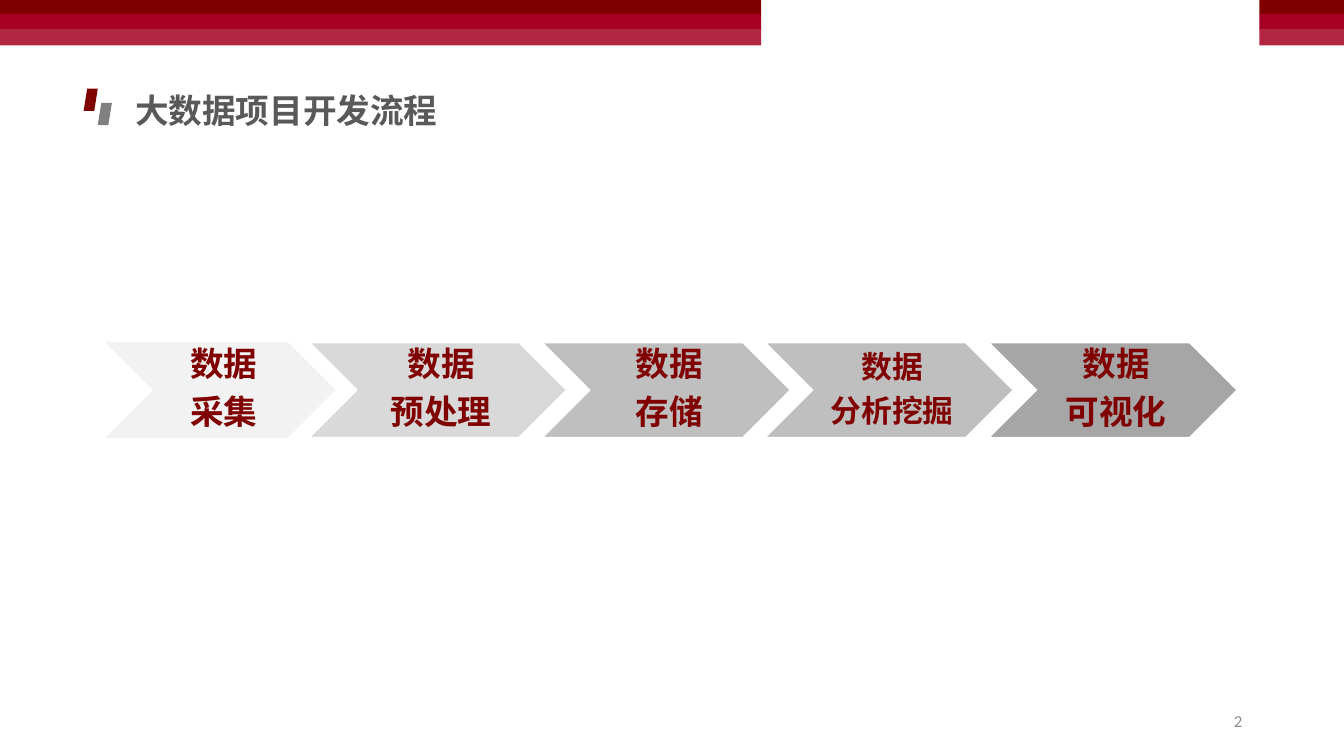
"""Build the slide on the big data project development process."""
from lxml.etree import SubElement
from pptx import Presentation
from pptx.dml.color import RGBColor
from pptx.enum.shapes import MSO_SHAPE
from pptx.enum.text import MSO_ANCHOR, PP_ALIGN
from pptx.oxml.ns import qn
from pptx.util import Inches, Pt

MAROON = RGBColor(0x80, 0x00, 0x00)
CRIMSON = RGBColor(0xA5, 0x00, 0x21)
ROSE = RGBColor(0xB2, 0x26, 0x42)
MID_GRAY = RGBColor(0x80, 0x80, 0x80)
TITLE_GRAY = RGBColor(0x59, 0x59, 0x59)
NUMBER_GRAY = RGBColor(0x8C, 0x8C, 0x8C)
WHITE = RGBColor(0xFF, 0xFF, 0xFF)
PALE = RGBColor(0xF2, 0xF2, 0xF2)
LIGHT = RGBColor(0xD9, 0xD9, 0xD9)
SILVER = RGBColor(0xBF, 0xBF, 0xBF)
STEEL = RGBColor(0xA6, 0xA6, 0xA6)


def add_filled(kind, left, top, width, height, color, outline=None):
    shape = slide.shapes.add_shape(
        kind, Inches(left), Inches(top), Inches(width), Inches(height))
    shape.shadow.inherit = False
    shape.fill.solid()
    shape.fill.fore_color.rgb = color
    if outline is None:
        shape.line.fill.background()
    else:
        shape.line.color.rgb = outline
        shape.line.width = Pt(1)


def add_run(paragraph, text, size, color, bold=False, font="Calibri"):
    run = paragraph.add_run()
    run.text = text
    run.font.name = font
    run.font.size = Pt(size)
    run.font.bold = bold
    run.font.color.rgb = color
    return run


deck = Presentation()
deck.slide_width = Inches(13.33)
deck.slide_height = Inches(7.5)
slide = deck.slides.add_slide(deck.slide_layouts[5])

for left, width in ((0, 7.55), (12.49, 0.84)):
    for top, height, color in ((0, 0.14, MAROON), (0.14, 0.16, CRIMSON), (0.29, 0.16, ROSE)):
        add_filled(MSO_SHAPE.RECTANGLE, left, top, width, height, color)

for left, top, color in ((0.83, 0.88, MAROON), (0.97, 1.02, MID_GRAY)):
    add_filled(MSO_SHAPE.PARALLELOGRAM, left, top, 0.14, 0.22, color)

title = slide.shapes.title
title.left, title.top = Inches(1.24), Inches(0.84)
title.width, title.height = Inches(4.12), Inches(0.5)
title.text_frame.vertical_anchor = MSO_ANCHOR.TOP
heading = title.text_frame.paragraphs[0]
heading.alignment = PP_ALIGN.LEFT
heading_run = add_run(heading, "大数据项目开发流程", 24, TITLE_GRAY, True, "Noto Sans CJK SC")
SubElement(heading_run.font._element, qn("a:ea"), typeface="Noto Sans CJK SC")

steps = (
    ("采集", 1.06, 2.26, PALE, PALE, 24),
    ("预处理", 3.07, 2.55, LIGHT, WHITE, 24),
    ("存储", 5.38, 2.46, SILVER, WHITE, 24),
    ("分析挖掘", 7.59, 2.46, SILVER, WHITE, 22),
    ("可视化", 9.81, 2.46, STEEL, WHITE, 24),
)
step_top, step_height = 3.4, 0.94
notch = step_height / 2
for stage, left, width, color, outline, size in steps:
    add_filled(MSO_SHAPE.CHEVRON, left, step_top, width, step_height, color, outline)
    label = slide.shapes.add_textbox(
        Inches(left + notch), Inches(step_top),
        Inches(width - 2 * notch), Inches(step_height)).text_frame
    label.word_wrap = True
    label.vertical_anchor = MSO_ANCHOR.MIDDLE
    label.margin_left = Inches(0.1)
    label.margin_right = label.margin_top = label.margin_bottom = Inches(0.04)
    for line, text in enumerate(("数据", stage)):
        paragraph = label.add_paragraph() if line else label.paragraphs[0]
        paragraph.alignment = PP_ALIGN.CENTER
        paragraph.line_spacing = 0.9
        space_after = SubElement(paragraph._p.get_or_add_pPr(), qn("a:spcAft"))
        SubElement(space_after, qn("a:spcPct"), val="35000")
        add_run(paragraph, text, size, MAROON, True)

page_number = slide.shapes.add_textbox(
    Inches(9.42), Inches(6.95), Inches(3), Inches(0.4)).text_frame
page_number.word_wrap = True
page_number.vertical_anchor = MSO_ANCHOR.MIDDLE
page_number.paragraphs[0].alignment = PP_ALIGN.RIGHT
add_run(page_number.paragraphs[0], "2", 12, NUMBER_GRAY)

deck.save("out.pptx")
